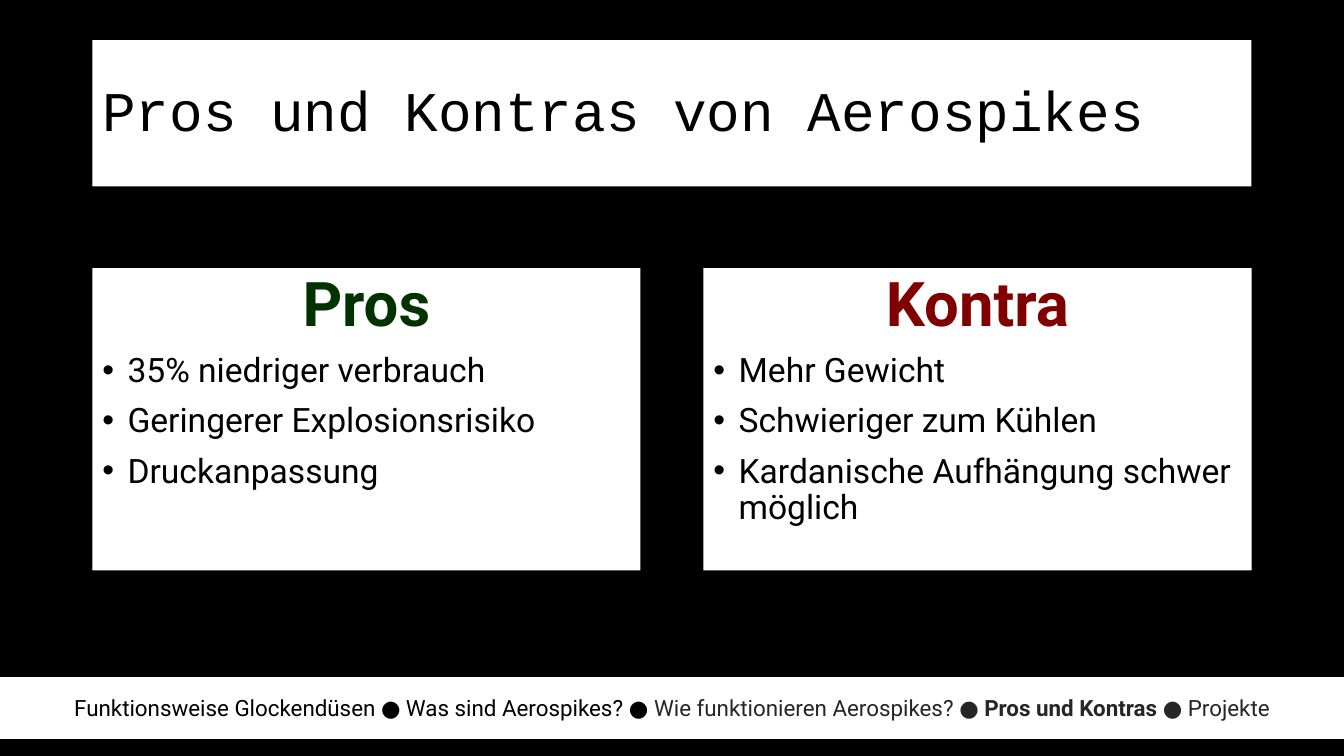
"""Build the slide on the pros and cons of aerospike engines."""
from lxml.etree import SubElement
from pptx import Presentation
from pptx.dml.color import RGBColor
from pptx.enum.shapes import MSO_SHAPE as Shape
from pptx.enum.text import MSO_ANCHOR as Anchor, PP_ALIGN as Align
from pptx.oxml.ns import qn
from pptx.util import Pt


def add_panel(left, top, width, height, anchor=Anchor.TOP):
    panel = slide.shapes.add_shape(
        Shape.RECTANGLE, Pt(left), Pt(top), Pt(width), Pt(height))
    panel.shadow.inherit = False
    panel.fill.solid()
    panel.fill.fore_color.rgb = RGBColor.from_string("FFFFFF")
    panel.line.fill.background()
    panel.text_frame.word_wrap = True
    panel.text_frame.vertical_anchor = anchor
    return panel.text_frame


def add_run(paragraph, text, size, color="000000", bold=False, font="Roboto"):
    run = paragraph.add_run()
    run.text = text
    run.font.size = Pt(size)
    run.font.name = font
    run.font.bold = bold
    run.font.color.rgb = RGBColor.from_string(color)


deck = Presentation()
deck.slide_width, deck.slide_height = Pt(960), Pt(540)
slide = deck.slides.add_slide(deck.slide_layouts[6])
slide.background.fill.solid()
slide.background.fill.fore_color.rgb = RGBColor.from_string("000000")

title = add_panel(66, 28.75, 828, 104.4, Anchor.MIDDLE).paragraphs[0]
title.alignment = Align.LEFT
title.line_spacing = 0.9
add_run(title, "Pros und Kontras von Aerospikes", 40, font="Courier New")

arguments = [
    ("Pros", "003300", 66, [
        "35% niedriger verbrauch",
        "Geringerer Explosionsrisiko",
        "Druckanpassung"]),
    ("Kontra", "800000", 502.5, [
        "Mehr Gewicht",
        "Schwieriger zum Kühlen",
        "Kardanische Aufhängung schwer möglich"]),
]
for heading, color, left, points in arguments:
    column = add_panel(left, 191.5, 391.5, 216)
    header = column.paragraphs[0]
    header.alignment = Align.CENTER
    add_run(header, heading, 44, color, bold=True)
    for point in points:
        item = column.add_paragraph()
        item.alignment = Align.LEFT
        add_run(item, point, 24)
    for paragraph in column.paragraphs:
        paragraph.line_spacing = 0.9
        paragraph.space_before = Pt(10)
    for item in column.paragraphs[1:]:
        properties = item._p.get_or_add_pPr()
        properties.set("marL", str(Pt(18)))
        properties.set("indent", str(-Pt(18)))
        SubElement(properties, qn("a:buFont"), typeface="Arial")
        SubElement(properties, qn("a:buChar"), char="•")

add_panel(0, 483.75, 960, 44)
agenda = slide.shapes.add_textbox(Pt(0), Pt(492.6), Pt(960), Pt(26.6)).text_frame
agenda.word_wrap = True
chapters = agenda.paragraphs[0]
chapters.alignment = Align.CENTER
for text, color, bold in [
    ("Funktionsweise Glockendüsen ● Was sind Aerospikes? ● ", "000000", False),
    ("Wie funktionieren Aerospikes? ● ", "262626", False),
    ("Pros und Kontras ", "262626", True),
    ("● Projekte", "262626", False),
]:
    add_run(chapters, text, 16, color, bold)

deck.save("out.pptx")
